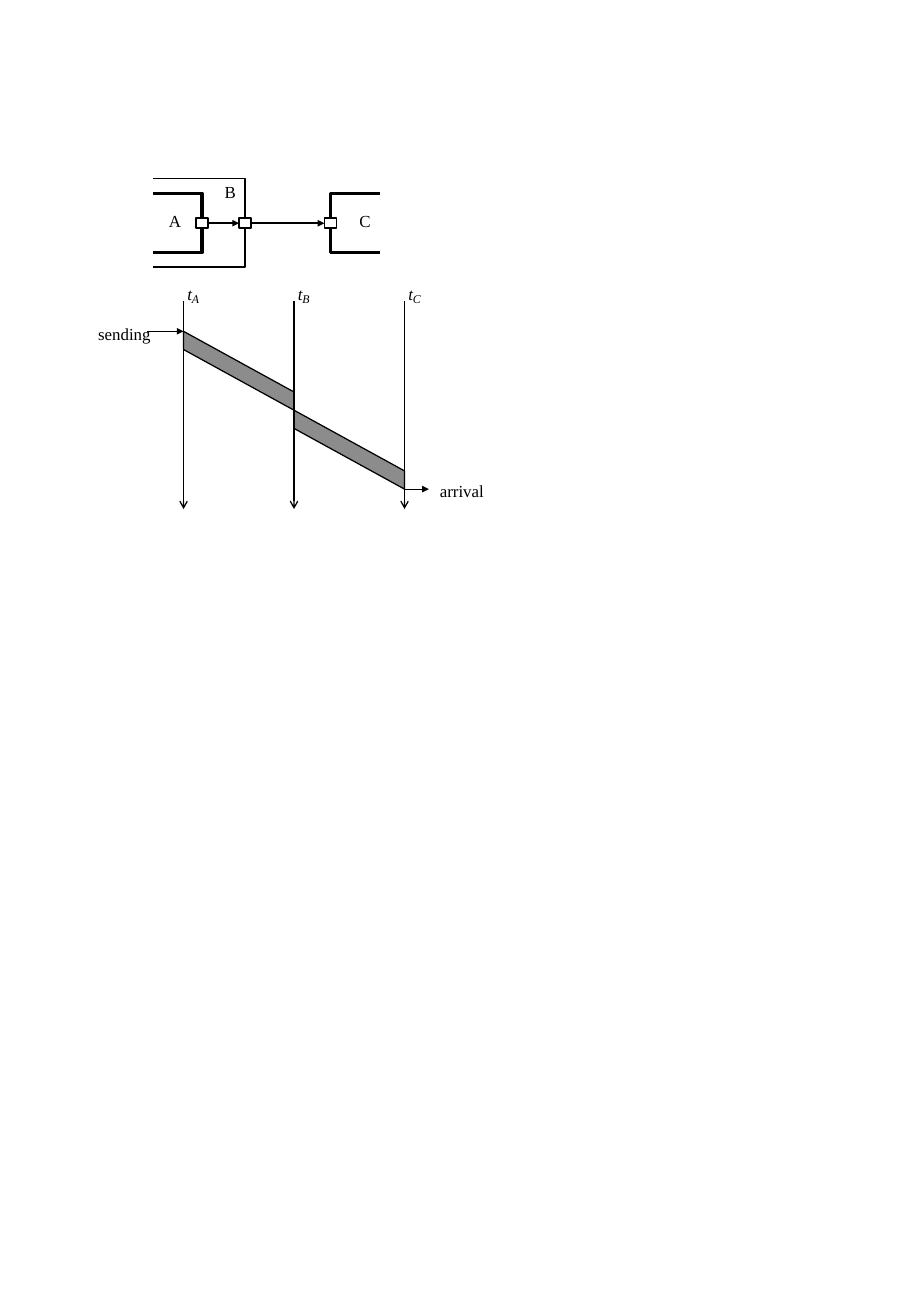
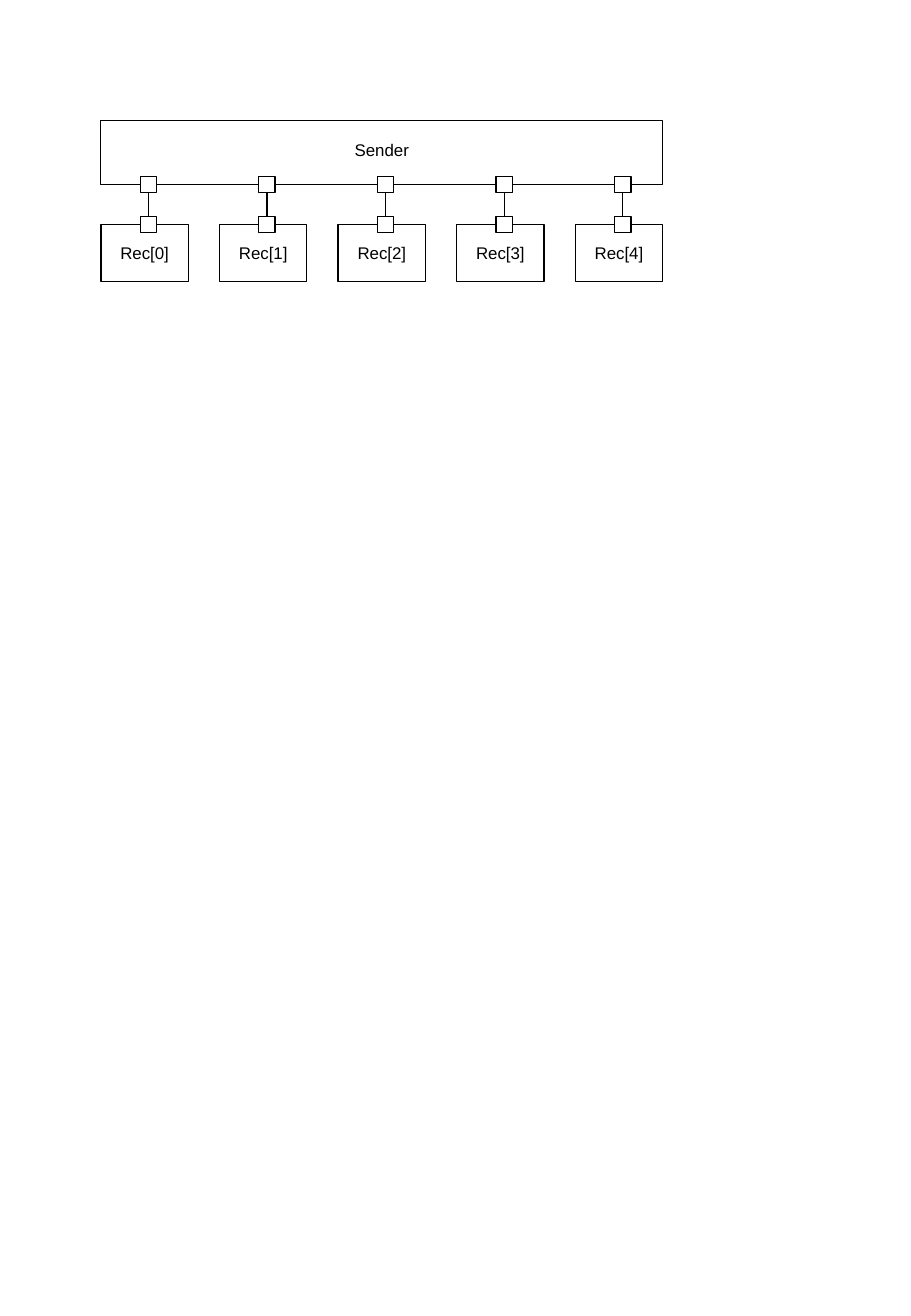
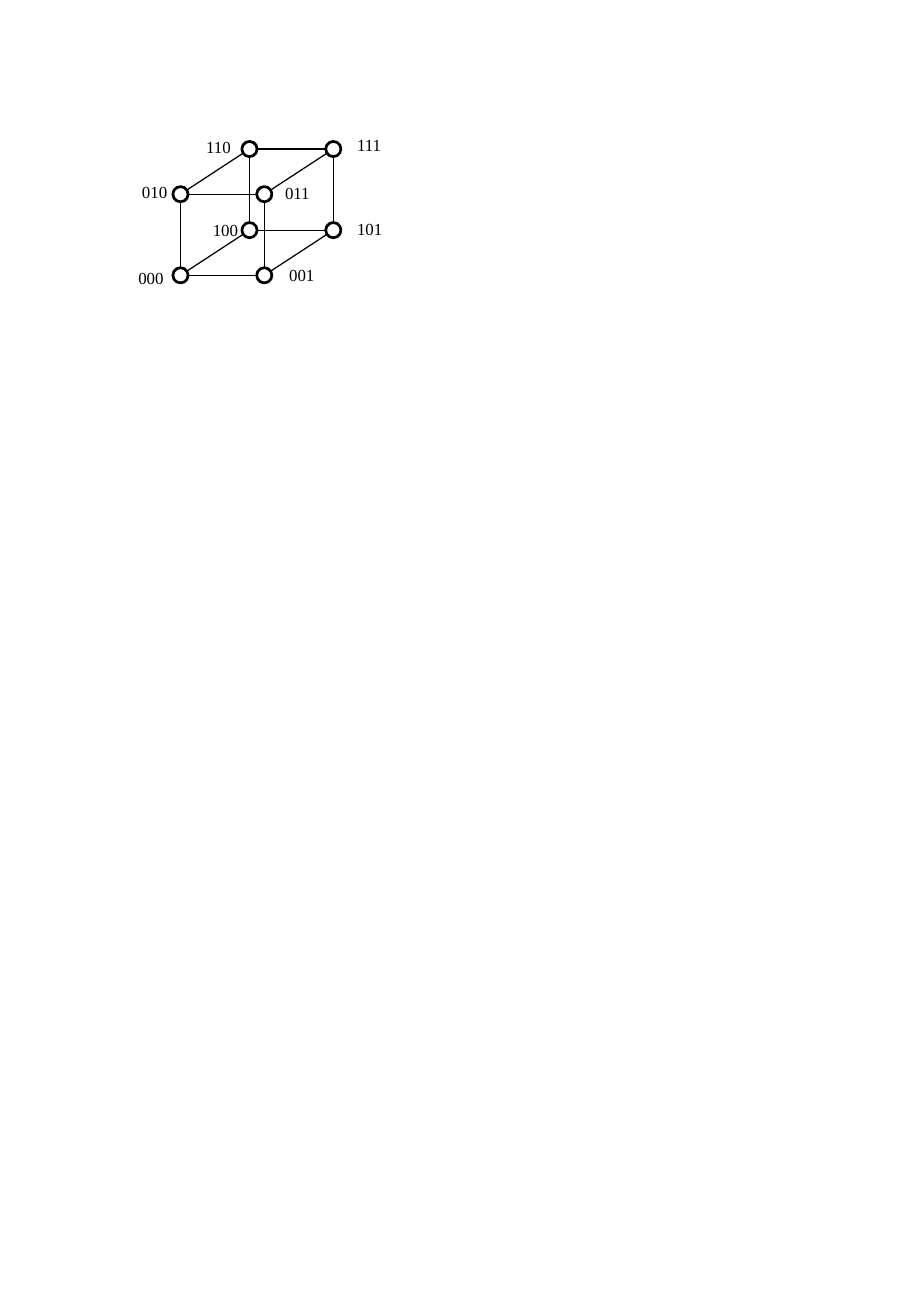
from dataclasses import dataclass
from itertools import combinations
from math import hypot

from lxml import etree
from pptx import Presentation
from pptx.dml.color import RGBColor
from pptx.enum import shapes, text
from pptx.oxml import ns
from pptx.util import Pt


@dataclass(frozen=True)
class Theme:
    ink: RGBColor = RGBColor(0, 0, 0)
    paper: RGBColor = RGBColor(255, 255, 255)
    band: RGBColor = RGBColor(0x8C, 0x8C, 0x8C)
    serif: str = "Times New Roman"
    sans: str = "Arial"
    body: float = 10
    subscript: float = 7
    thin: float = 0.75
    medium: float = 1
    ring: float = 1.62
    thick: float = 2


THEME = Theme()
PAGE = (540, 780.48)
LABEL_H = 12.2
TOP, LEFT, BOTTOM, RIGHT = range(4)  # connection sites of a rectangle

# Slide 1: message passing between modules
# outline: open side x, wall x, top, bottom, line width
MODULES = [
    (90.7, 119.7, 114.8, 149.8, THEME.thick),
    (90.7, 145.3, 105.9, 158.4, THEME.medium),
    (225.2, 195.9, 114.8, 149.8, THEME.thick),
]
GATE_Y = 132.4
GATE_SIZE = (7.2, 5.8)
# text, left, top, width
TIMING_LABELS = [
    ("A", 100.1, 125, 8),
    ("B", 133.2, 107.5, 8),
    ("C", 213.1, 125, 8),
    ("sending", 58.2, 192, 34),
    ("arrival", 260.8, 285.1, 30),
]
TIME_AXES = ["A", "B", "C"]
AXIS_X, AXIS_STEP, AXIS_TOP, AXIS_BOTTOM = 108.8, 65.5, 178.8, 301.9
SEND_Y, DELAY, DURATION = 196.5, 36, 10.8
SEND_LEAD, ARRIVAL_TAIL = 21.6, 14.4

# Slide 2: sender and its receivers
SENDER = ("Sender", 59.8, 71.3, 333, 38.2)
RECEIVERS = [f"Rec[{i}]" for i in range(5)]
RECEIVER_TOP, RECEIVER_W, RECEIVER_H = 133.2, 51.8, 33.8
PORT_OFFSET, PORT = 28.2, 9.7

# Slide 3: cube; the bits of a name mean back, up and right
CORNER_LABELS = {
    "000": (82, 158.8), "001": (171.4, 157),
    "010": (84.2, 107.7), "011": (169, 108.4),
    "100": (126.2, 130.3), "101": (211.7, 129.6),
    "110": (122.2, 81), "111": (211.7, 79.6),
}
CUBE_ORIGIN = (107, 163.3)
CUBE_AXES = [(40.9, -26.8), (0, -48.1), (49.7, 0)]
NODE = 9


def paint(shape, fill, width):
    shape.shadow.inherit = False
    if fill is None:
        shape.fill.background()
    else:
        shape.fill.solid()
        shape.fill.fore_color.rgb = fill
    shape.line.color.rgb = THEME.ink
    shape.line.width = Pt(width)


def write(frame, wording, font, size, italic=False):
    frame.margin_left = frame.margin_right = 0
    frame.margin_top = frame.margin_bottom = 0
    frame.word_wrap = False
    run = frame.paragraphs[0].add_run()
    run.text = wording
    run.font.name, run.font.size = font, Pt(size)
    run.font.italic = italic
    run.font.color.rgb = THEME.ink


def label(slide, wording, x, y, width, size=THEME.body, italic=False):
    """One line of text from x; the width must exceed that of the wording."""
    height = LABEL_H * size / THEME.body
    frame = slide.shapes.add_textbox(Pt(x), Pt(y), Pt(width), Pt(height)).text_frame
    write(frame, wording, THEME.serif, size, italic)
    frame.auto_size = text.MSO_AUTO_SIZE.NONE
    frame.paragraphs[0].alignment = text.PP_ALIGN.LEFT


def box(slide, x, y, width, height, wording=None):
    rect = slide.shapes.add_shape(
        shapes.MSO_SHAPE.RECTANGLE, Pt(x), Pt(y), Pt(width), Pt(height))
    paint(rect, THEME.paper, THEME.thin)
    if wording:
        write(rect.text_frame, wording, THEME.sans, THEME.body)
        rect.text_frame.vertical_anchor = text.MSO_ANCHOR.MIDDLE
        rect.text_frame.paragraphs[0].alignment = text.PP_ALIGN.CENTER
    return rect


def centred_box(slide, x, y, width, height):
    return box(slide, x - width / 2, y - height / 2, width, height)


def outline(slide, points, fill=None, width=THEME.thin, closed=False):
    corners = [(Pt(x), Pt(y)) for x, y in points]
    builder = slide.shapes.build_freeform(*corners[0])
    builder.add_line_segments(corners[1:], close=closed)
    paint(builder.convert_to_shape(), fill, width)


def line(slide, start, end, width=THEME.thin, head=None):
    """Straight line; head is the arrowhead type at its end."""
    link = slide.shapes.add_connector(
        shapes.MSO_CONNECTOR.STRAIGHT, *(Pt(v) for v in (*start, *end)))
    link.line.color.rgb = THEME.ink
    link.line.width = Pt(width)
    properties = link._element.spPr
    if head:
        etree.SubElement(properties.find(ns.qn("a:ln")), ns.qn("a:tailEnd"),
                         type=head, w="sm", len="sm")
    etree.SubElement(properties, ns.qn("a:effectLst"))
    return link


def join(slide, source, source_site, target, target_site, **style):
    link = line(slide, (0, 0), (0, 0), **style)
    link.begin_connect(source, source_site)
    link.end_connect(target, target_site)


def timing_slide(slide):
    axes = [AXIS_X + i * AXIS_STEP for i in range(len(TIME_AXES))]
    hop = DELAY + DURATION
    for i, (x, next_x) in enumerate(zip(axes, axes[1:])):
        y = SEND_Y + i * hop
        outline(slide, [(x, y), (next_x, y + DELAY), (next_x, y + hop),
                        (x, y + DURATION)], THEME.band, closed=True)
    for name, x in zip(TIME_AXES, axes):
        line(slide, (x, AXIS_TOP), (x, AXIS_BOTTOM), head="arrow")
        label(slide, "t", x + 2.2, 168.5, 4, italic=True)
        label(slide, name, x + 5, 172.8, 6, THEME.subscript, italic=True)
    arrival_y = SEND_Y + hop * (len(axes) - 1)
    line(slide, (axes[0] - SEND_LEAD, SEND_Y), (axes[0], SEND_Y), head="triangle")
    line(slide, (axes[-1], arrival_y), (axes[-1] + ARRIVAL_TAIL, arrival_y),
         head="triangle")

    for open_x, wall, top, bottom, width in MODULES:
        outline(slide, [(open_x, top), (wall, top), (wall, bottom),
                        (open_x, bottom)], width=width)
    gates = [centred_box(slide, wall, GATE_Y, *GATE_SIZE)
             for _, wall, *_ in MODULES]
    for gate, next_gate in zip(gates, gates[1:]):
        gate.line.width = next_gate.line.width = Pt(THEME.medium)
        join(slide, gate, RIGHT, next_gate, LEFT,
             width=THEME.medium, head="triangle")
    for entry in TIMING_LABELS:
        label(slide, *entry)


def receivers_slide(slide):
    name, left, top, width, height = SENDER
    sender = box(slide, left, top, width, height, name)
    sender.text_frame.margin_bottom = Pt(2.8)
    step = (width - RECEIVER_W) / (len(RECEIVERS) - 1)
    for i, receiver in enumerate(RECEIVERS):
        x = left + i * step
        box(slide, x, RECEIVER_TOP, RECEIVER_W, RECEIVER_H, receiver)
        out_port, in_port = (
            centred_box(slide, x + PORT_OFFSET, y, PORT, PORT)
            for y in (top + height, RECEIVER_TOP))
        join(slide, in_port, TOP, out_port, BOTTOM)


def cube_slide(slide):
    centres = {
        corner: tuple(CUBE_ORIGIN[k] + sum(int(bit) * axis[k] for bit, axis
                                           in zip(corner, CUBE_AXES))
                      for k in (0, 1))
        for corner in CORNER_LABELS
    }
    for a, b in combinations(centres, 2):
        if sum(p != q for p, q in zip(a, b)) == 1:
            (ax, ay), (bx, by) = centres[a], centres[b]
            trim = NODE / 2 / hypot(bx - ax, by - ay)
            dx, dy = (bx - ax) * trim, (by - ay) * trim
            line(slide, (ax + dx, ay + dy), (bx - dx, by - dy))
    for corner, (x, y) in centres.items():
        node = slide.shapes.add_shape(
            shapes.MSO_SHAPE.OVAL, Pt(x - NODE / 2), Pt(y - NODE / 2),
            Pt(NODE), Pt(NODE))
        paint(node, THEME.paper, THEME.ring)
        label(slide, corner, *CORNER_LABELS[corner], 17)


def main():
    deck = Presentation()
    deck.slide_width, deck.slide_height = (Pt(side) for side in PAGE)
    for draw in (timing_slide, receivers_slide, cube_slide):
        draw(deck.slides.add_slide(deck.slide_layouts[6]))
    deck.save("out.pptx")


if __name__ == "__main__":
    main()
